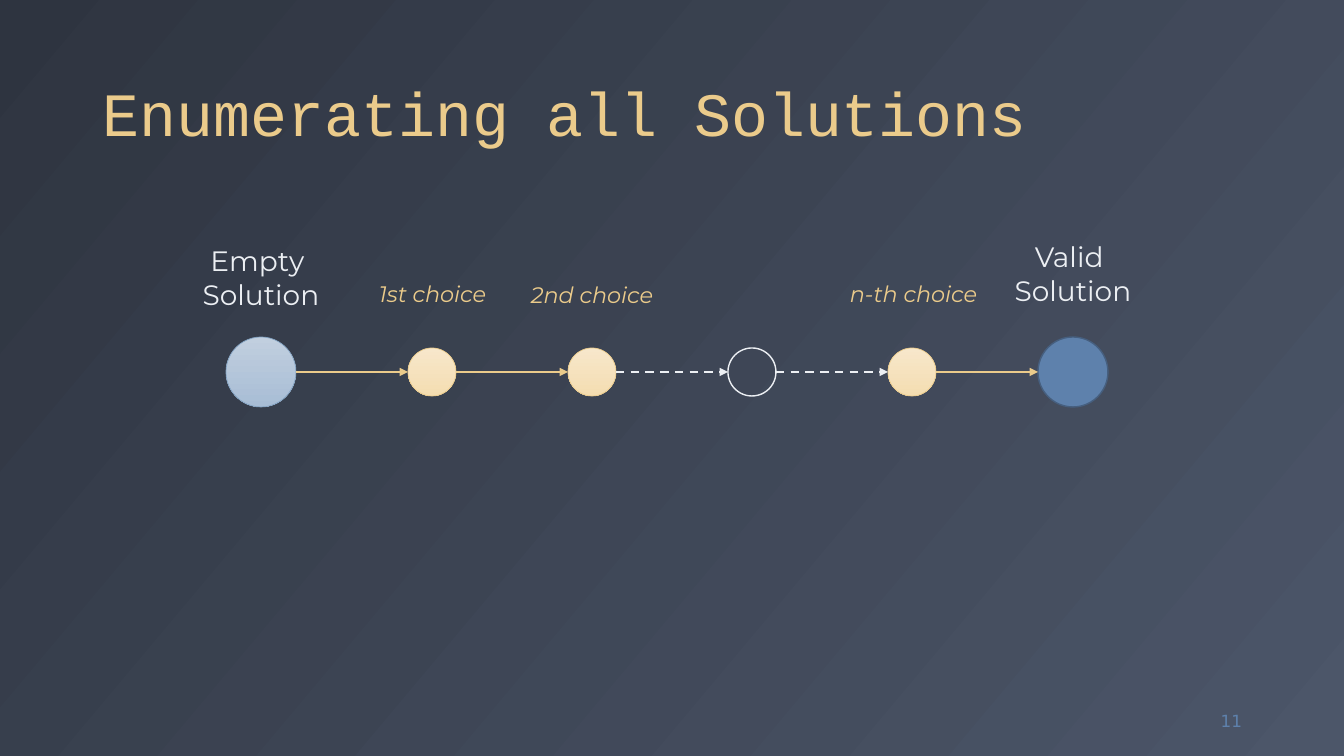
from pptx import Presentation
from pptx.dml.color import RGBColor
from pptx.enum.dml import MSO_LINE as Dash
from pptx.enum.shapes import MSO_CONNECTOR as Conn, MSO_SHAPE as Shape
from pptx.enum.text import MSO_ANCHOR as Anchor, MSO_AUTO_SIZE as Fit, PP_ALIGN as Align
from pptx.oxml.ns import qn
from pptx.util import Pt
from lxml import etree

SCALE = 914400 / 100.8
AXIS = 372
GOLD, SNOW, BLUE = "EBCB8B", "ECEFF3", "5E81AC"
CREAM = ("F7E7CB", "F4DDB1")


def px(n):
    return round(n * SCALE)


def rgb(code):
    return RGBColor.from_string(code)


def shade(fill, ends, angle):
    """Blend two colours; the angle runs clockwise."""
    fill.gradient()
    fill.gradient_angle = 360 - angle
    for stop, code in zip(fill.gradient_stops, ends):
        stop.color.rgb = rgb(code)


def text(slide, box, words, size, color, font="Montserrat",
         align=Align.CENTER, anchor=Anchor.TOP, wrap=True):
    frame = slide.shapes.add_textbox(*map(px, box)).text_frame
    frame.word_wrap = wrap
    frame.auto_size = Fit.NONE if wrap else Fit.SHAPE_TO_FIT_TEXT
    frame.vertical_anchor = anchor
    para = frame.paragraphs[0]
    para.text = words
    para.alignment = align
    para.font.size = Pt(size)
    para.font.name = font
    para.font.color.rgb = rgb(color)
    return para


def label(slide, box, words, size=20, color=SNOW, slant=False):
    text(slide, box, words, size, color, wrap=False).font.italic = slant


def node(slide, mid, size, fill, edge, width):
    """Draw a circle on the axis; fill is None, a colour or a pair."""
    dot = slide.shapes.add_shape(
        Shape.OVAL, px(mid - size // 2), px(AXIS - size // 2), px(size), px(size))
    dot.shadow.inherit = False
    if fill is None:
        dot.fill.background()
    elif isinstance(fill, tuple):
        shade(dot.fill, fill, 90)
    else:
        dot.fill.solid()
        dot.fill.fore_color.rgb = rgb(fill)
    dot.line.color.rgb = rgb(edge)
    dot.line.width = Pt(width)


def arrow(slide, start, end, color, dashed):
    link = slide.shapes.add_connector(
        Conn.STRAIGHT, px(start), px(AXIS), px(end), px(AXIS))
    link.line.color.rgb = rgb(color)
    link.line.width = Pt(1.5)
    if dashed:
        link.line.dash_style = Dash.DASH
    props = link.line._get_or_add_ln()
    etree.SubElement(props, qn("a:tailEnd"), type="triangle")
    etree.SubElement(link._element.spPr, qn("a:effectLst"))


def main():
    deck = Presentation()
    deck.slide_width, deck.slide_height = px(1344), px(756)
    slide = deck.slides.add_slide(deck.slide_layouts[6])
    shade(slide.background.fill, ("2E3440", "4C5669"), 40)

    title = text(slide, (93, 18, 1159, 137), "Enumerating all Solutions", 44,
                 GOLD, "Courier New", Align.LEFT, Anchor.BOTTOM)
    title.line_spacing = 0.9
    text(slide, (1168, 701, 84, 40), "11", 12, BLUE, "DejaVu Sans",
         Align.RIGHT, Anchor.MIDDLE)

    steps = [432 + 160 * i for i in range(4)]
    nodes = [(261, 70, ("C1CFDF", "A8BDD5"), "81A1C1", 0.5)]
    nodes += [(mid, 48, CREAM, GOLD, 0.5) for mid in steps]
    nodes[3] = (steps[2], 48, None, SNOW, 1)
    nodes.append((1073, 70, BLUE, "465F7F", 1))
    for item in nodes:
        node(slide, *item)

    for left, right in zip(nodes, nodes[1:]):
        dashed = None in (left[2], right[2])
        arrow(slide, left[0] + left[1] // 2, right[0] - right[1] // 2,
              SNOW if dashed else GOLD, dashed)

    label(slide, (192, 239, 138, 78), "Empty \nSolution")
    label(slide, (1004, 235, 138, 78), "Valid \nSolution")
    for box, words in (((368, 275, 129, 37), "1st choice"),
                       ((520, 276, 144, 37), "2nd choice"),
                       ((839, 275, 149, 37), "n-th choice")):
        label(slide, box, words, 16, GOLD, True)

    deck.save("out.pptx")


if __name__ == "__main__":
    main()
